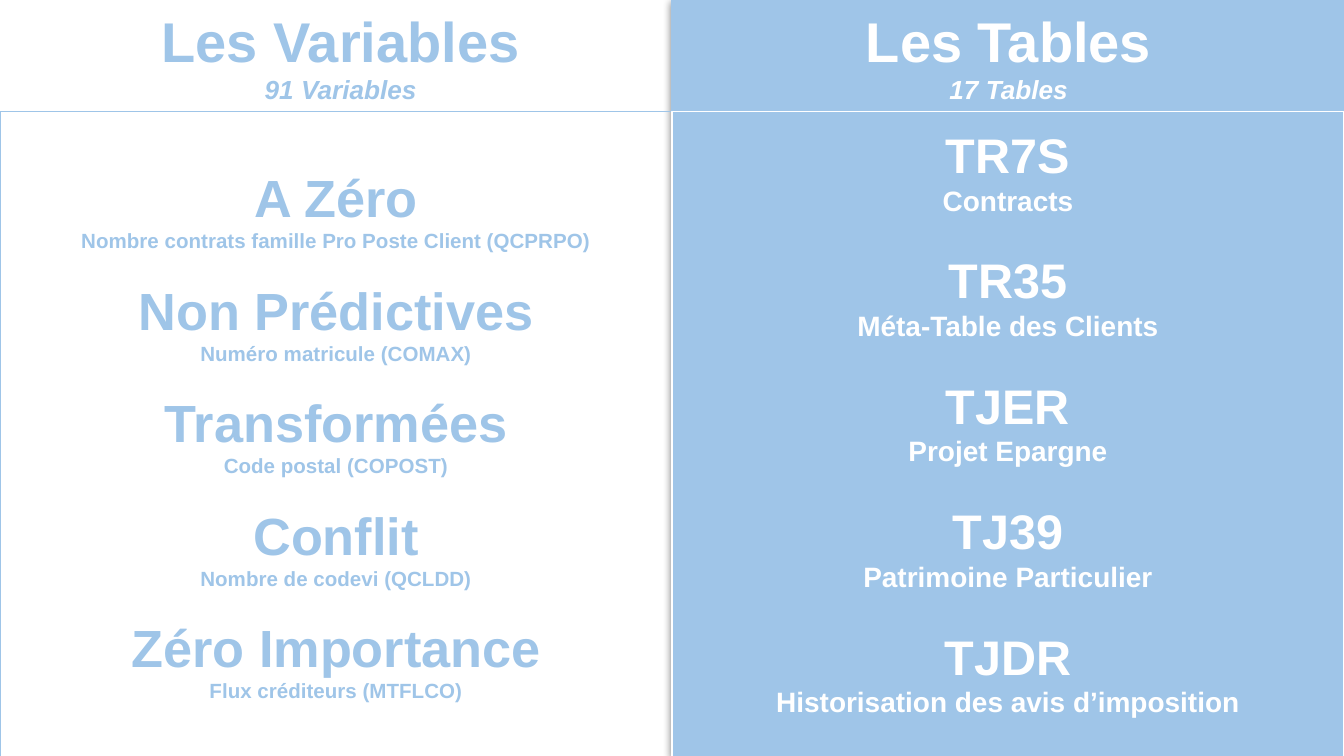
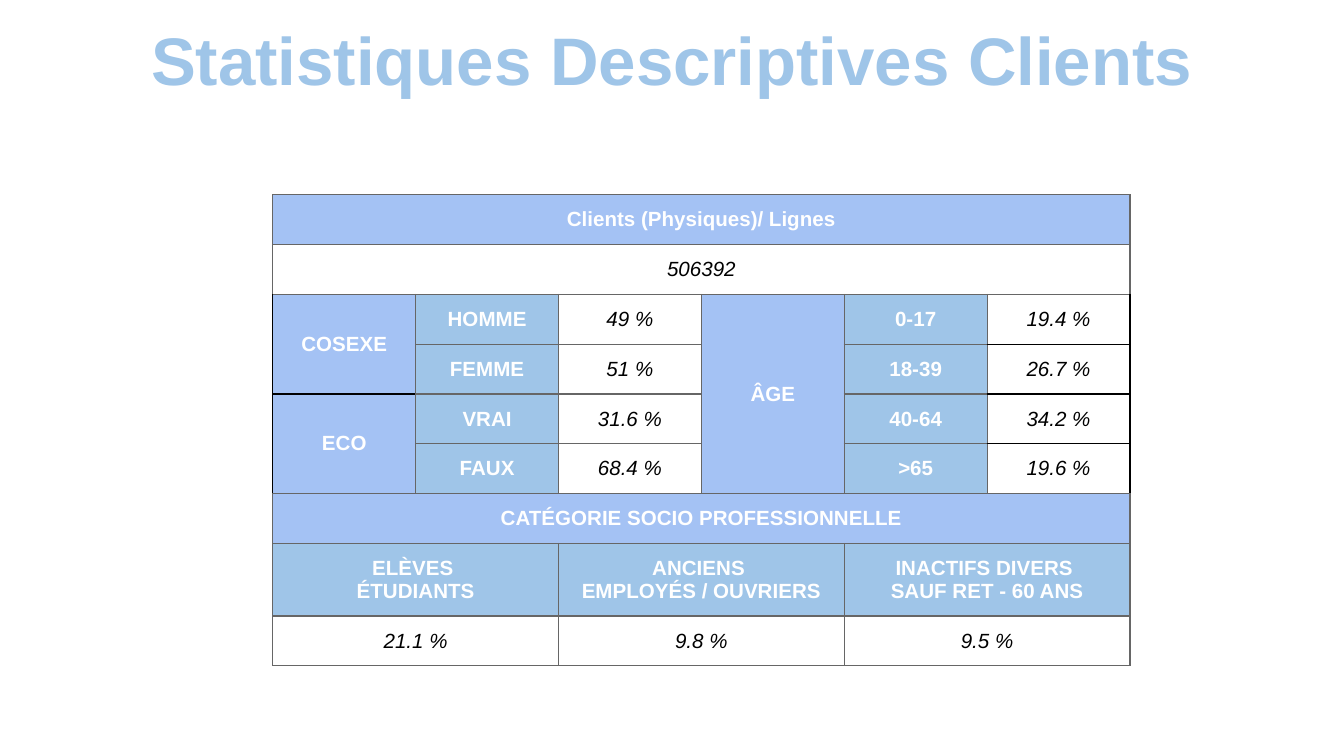
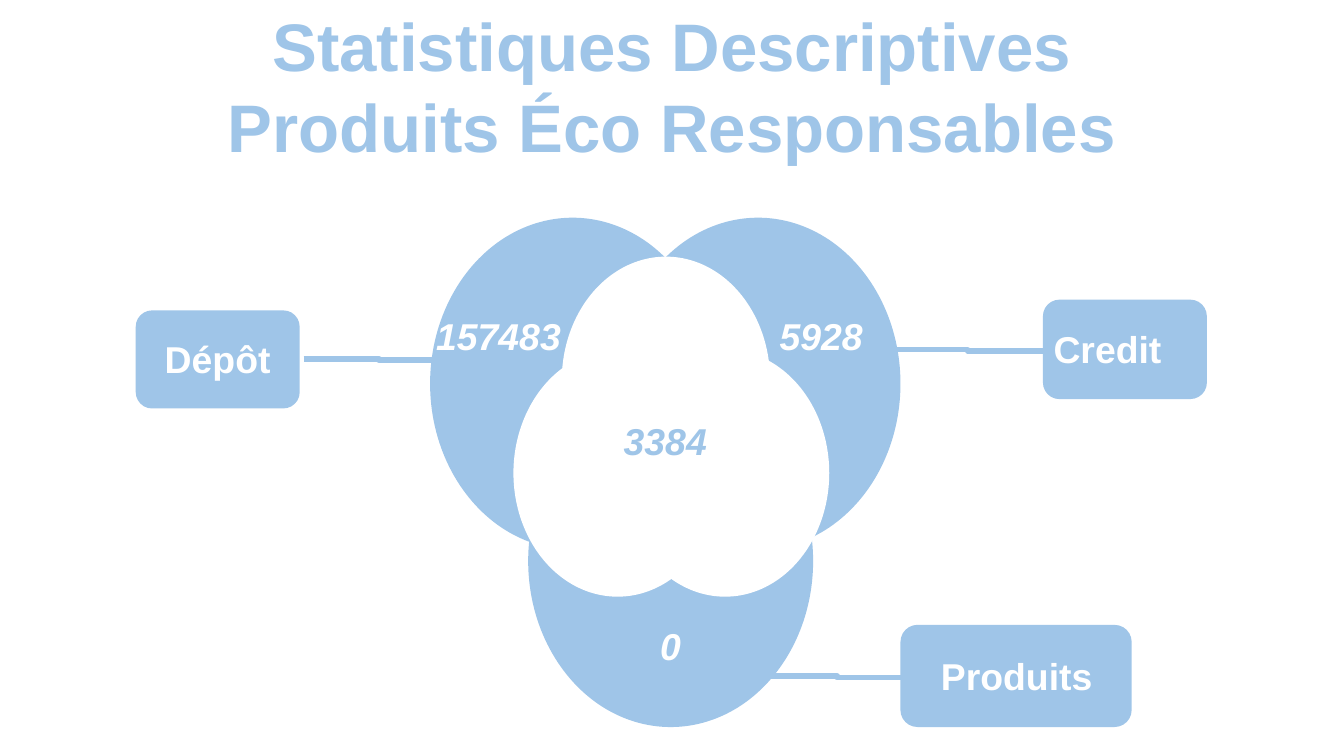
from lxml import etree
from pptx import Presentation
from pptx.dml.color import RGBColor
from pptx.enum.shapes import MSO_CONNECTOR, MSO_SHAPE
from pptx.enum.text import MSO_ANCHOR, MSO_AUTO_SIZE, PP_ALIGN
from pptx.oxml import parse_xml
from pptx.oxml.ns import nsdecls, qn
from pptx.util import Pt

PX = 9144  # 100 px to the inch
FONT = "Arial"
COLOURS = {"sky": "9FC5E8", "periwinkle": "A4C2F4", "white": "FFFFFF",
           "black": "000000", "grey": "666666"}
CENTER, LEFT = PP_ALIGN.CENTER, PP_ALIGN.LEFT
MIDDLE, TOP = MSO_ANCHOR.MIDDLE, MSO_ANCHOR.TOP
NO_FIT, GROW = MSO_AUTO_SIZE.NONE, MSO_AUTO_SIZE.SHAPE_TO_FIT_TEXT
RECT, ROUNDED = MSO_SHAPE.RECTANGLE, MSO_SHAPE.ROUNDED_RECTANGLE
OVAL, CIRCLE = MSO_SHAPE.OVAL, MSO_SHAPE.FLOWCHART_CONNECTOR
ELBOW = MSO_CONNECTOR.ELBOW
TITLE = {"size": Pt(36), "bold": True}
FIGURE = {"size": Pt(20), "bold": True, "italic": True}
LABEL = {"size": Pt(20), "bold": True}


def write(box, lines, colour, align=CENTER, anchor=MIDDLE, fit=NO_FIT):
    """Fill a shape or table cell; each line is (text, font values, points before)."""
    frame = box.text_frame
    is_cell = hasattr(box, "margin_left")
    holder = box if is_cell else frame
    for side in ("left", "top", "right", "bottom"):
        setattr(holder, f"margin_{side}", 10 * PX)
    holder.vertical_anchor = anchor
    if not is_cell:
        frame.word_wrap = True
        frame.auto_size = fit
    for number, (text, font, before) in enumerate(lines):
        para = frame.add_paragraph() if number else frame.paragraphs[0]
        para.alignment = align
        para.space_before = Pt(before)
        if not is_cell and box.is_placeholder:
            props = para._p.get_or_add_pPr()
            props.set("marL", "0")
            props.set("indent", "0")
            etree.SubElement(props, qn("a:buNone"))
        for part, words in enumerate(text.split("\n")):
            if part:
                para.add_line_break()
            span = para.add_run()
            span.text = words
            span.font.name = FONT
            span.font.color.rgb = RGBColor.from_string(COLOURS[colour])
            for name, value in font.items():
                setattr(span.font, name, value)


def add_figure(page, kind, place, colour):
    figure = page.shapes.add_shape(kind, *[value * PX for value in place])
    figure.shadow.inherit = False
    figure.fill.solid()
    figure.fill.fore_color.rgb = RGBColor.from_string(COLOURS[colour])
    figure.line.fill.background()
    return figure


deck = Presentation()
deck.slide_width = 1000 * PX
deck.slide_height = deck.slide_width * 9 // 16
TWO_CONTENT, TITLE_ONLY = deck.slide_layouts[3], deck.slide_layouts[5]

# Variables and tables
page = deck.slides.add_slide(TWO_CONTENT)
title, variables, tables = page.placeholders
heading = page.shapes.add_textbox(0, 0, PX, PX)
panel = add_figure(page, RECT, (500, 0, 500, 562), "sky")
panel.height = deck.slide_height
panel.line.color.rgb = RGBColor.from_string(COLOURS["sky"])
panel.line.width = Pt(0.75)
effects = panel._element.spPr.find(qn("a:effectLst"))
effects.append(parse_xml(
    f'<a:outerShdw {nsdecls("a")} blurRad="57150" dist="19050" dir="5400000" '
    'algn="bl" rotWithShape="0"><a:srgbClr val="000000"><a:alpha val="50000"/>'
    '</a:srgbClr></a:outerShdw>'))
title._element.addprevious(panel._element)

for box, left, name, count, colour in (
        (title, 7, "Les Variables", "91 Variables", "sky"),
        (heading, 504, "Les Tables", "17 Tables", "white")):
    box.left, box.top, box.width, box.height = left * PX, 0, 493 * PX, 83 * PX
    write(box, [(name, {"size": Pt(30), "bold": True}, 0),
                (count, {"size": Pt(14), "bold": True, "italic": True}, 0)], colour)

VARIABLES = [("A Zéro", "Nombre contrats famille Pro Poste Client (QCPRPO)"),
             ("Non Prédictives", "Numéro matricule (COMAX)"),
             ("Transformées", "Code postal (COPOST)"),
             ("Conflit", "Nombre de codevi (QCLDD)"),
             ("Zéro Importance", "Flux créditeurs (MTFLCO)")]
TABLES = [("TR7S", "Contracts"),
          ("TR35", "Méta-Table des Clients"),
          ("TJER", "Projet Epargne"),
          ("TJ39", "Patrimoine Particulier"),
          ("TJDR", "Historisation des avis d’imposition")]
for box, left, entries, big, small, gap, colour, anchor in (
        (variables, 0, VARIABLES, 28, 11, 13.4, "sky", MIDDLE),
        (tables, 500, TABLES, 26, 15, 18, "white", TOP)):
    box.left, box.top, box.width, box.height = left * PX, 83 * PX, 500 * PX, 480 * PX
    box.line.color.rgb = RGBColor.from_string(COLOURS[colour])
    box.line.width = Pt(0.75)
    lines = []
    for name, detail in entries:
        lines.append((name, {"size": Pt(big), "bold": True}, gap if lines else 0))
        lines.append((detail, {"size": Pt(small), "bold": True}, 0))
    write(box, lines, colour, anchor=anchor)

# Client statistics
page = deck.slides.add_slide(TITLE_ONLY)
title = page.shapes.title
title.left, title.top, title.width, title.height = 89 * PX, 0, 822 * PX, 87 * PX
write(title, [("Statistiques Descriptives Clients", TITLE, 0)], "sky")

ROW_HEIGHTS = [37] * 7 + [54, 37]
COLUMNS = 6
grid = page.shapes.add_table(len(ROW_HEIGHTS), COLUMNS, 203 * PX, 145 * PX,
                             638 * PX, sum(ROW_HEIGHTS) * PX).table
grid.first_row = grid.horz_banding = False
for column in grid.columns:
    column.width = 638 * PX // COLUMNS
for row, height in zip(grid.rows, ROW_HEIGHTS):
    row.height = height * PX

black_edges = {(2, 0, "B"), (3, 0, "B"), (4, 0, "T")}
for row in range(2, 6):
    black_edges |= {(row, 0, "L"), (row, 5, "R")}
for row in range(2, 5):
    black_edges |= {(row, 5, "B"), (row + 1, 5, "T")}
for row in range(len(ROW_HEIGHTS)):
    for column in range(COLUMNS):
        cell = grid.cell(row, column)
        props = cell._tc.get_or_add_tcPr()
        for side in "LRTB":
            shade = "black" if (row, column, side) in black_edges else "grey"
            props.append(parse_xml(
                f'<a:ln{side} {nsdecls("a")} w="9525"><a:solidFill>'
                f'<a:srgbClr val="{COLOURS[shade]}"/></a:solidFill></a:ln{side}>'))
        cell.fill.background()

# row, column, row span, column span, fill, text
CELLS = [(0, 0, 1, 6, "periwinkle", "Clients (Physiques)/ Lignes"),
         (1, 0, 1, 6, "white", "506392"),
         (2, 0, 2, 1, "periwinkle", "COSEXE"),
         (4, 0, 2, 1, "periwinkle", "ECO"),
         (2, 3, 4, 1, "periwinkle", "ÂGE"),
         (6, 0, 1, 6, "periwinkle", "CATÉGORIE SOCIO PROFESSIONNELLE")]
SHARES = {1: [("HOMME", "49 %"), ("FEMME", "51 %"), ("VRAI", "31.6 %"), ("FAUX", "68.4 %")],
          4: [("0-17", "19.4 %"), ("18-39", "26.7 %"), ("40-64", "34.2 %"), (">65", "19.6 %")]}
for column, pairs in SHARES.items():
    for row, (name, share) in enumerate(pairs, 2):
        CELLS += [(row, column, 1, 1, "sky", name), (row, column + 1, 1, 1, None, share)]
CATEGORIES = [("ELÈVES \nÉTUDIANTS", "21.1 %"),
              ("ANCIENS \nEMPLOYÉS / OUVRIERS", "9.8 %"),
              ("INACTIFS DIVERS \nSAUF RET - 60 ANS", "9.5 %")]
for number, (name, share) in enumerate(CATEGORIES):
    CELLS += [(7, 2 * number, 1, 2, "sky", name), (8, 2 * number, 1, 2, "white", share)]

for row, column, down, across, fill, text in CELLS:
    cell = grid.cell(row, column)
    if down * across > 1:
        cell.merge(grid.cell(row + down - 1, column + across - 1))
    if fill:
        cell.fill.solid()
        cell.fill.fore_color.rgb = RGBColor.from_string(COLOURS[fill])
    is_label = fill in ("sky", "periwinkle")
    font = {"size": Pt(11), "bold": is_label, "italic": not is_label}
    write(cell, [(text, font, 0)], "white" if is_label else "black")

# Eco-responsible products
page = deck.slides.add_slide(TITLE_ONLY)
title = page.shapes.title
title.left, title.top, title.width, title.height = 89 * PX, 0, 822 * PX, 127 * PX
write(title, [("Statistiques Descriptives Produits Éco Responsables", TITLE, 0)], "sky")

for left, top in ((458, 162), (320, 162), (393, 294)):
    add_figure(page, OVAL, (left, top, 212, 247), "sky")
for left, top in ((418, 191), (462, 260), (382, 260)):
    add_figure(page, CIRCLE, (left, top, 155, 184), "white")
for place in ((101, 231, 122, 73), (776, 223, 122, 74), (670, 465, 172, 76)):
    add_figure(page, ROUNDED, place, "sky")

for text, place, font, colour, align, anchor, fit in (
        ("5928", (543, 223, 136, 54), FIGURE, "white", CENTER, MIDDLE, NO_FIT),
        ("157483", (303, 223, 136, 54), FIGURE, "white", CENTER, MIDDLE, NO_FIT),
        ("0", (431, 453, 136, 54), FIGURE, "white", CENTER, MIDDLE, NO_FIT),
        ("3384", (434, 304, 122, 48), FIGURE, "sky", CENTER, MIDDLE, NO_FIT),
        ("Dépôt", (98, 240, 128, 54), LABEL, "white", CENTER, TOP, GROW),
        ("Credit", (774, 233, 128, 54), LABEL, "white", LEFT, TOP, GROW),
        ("Produits", (661, 476, 191, 54), LABEL, "white", CENTER, TOP, GROW)):
    box = page.shapes.add_textbox(*[value * PX for value in place])
    write(box, [(text, font, 0)], colour, align, anchor, fit)

for left, top in ((226, 267), (664, 260), (567, 503)):
    link = page.shapes.add_connector(ELBOW, left * PX, top * PX,
                                     (left + 112) * PX, (top + 1) * PX)
    link.line.color.rgb = RGBColor.from_string(COLOURS["sky"])
    link.line.width = Pt(3)
    etree.SubElement(link._element.spPr, qn("a:effectLst"))

deck.save("out.pptx")
